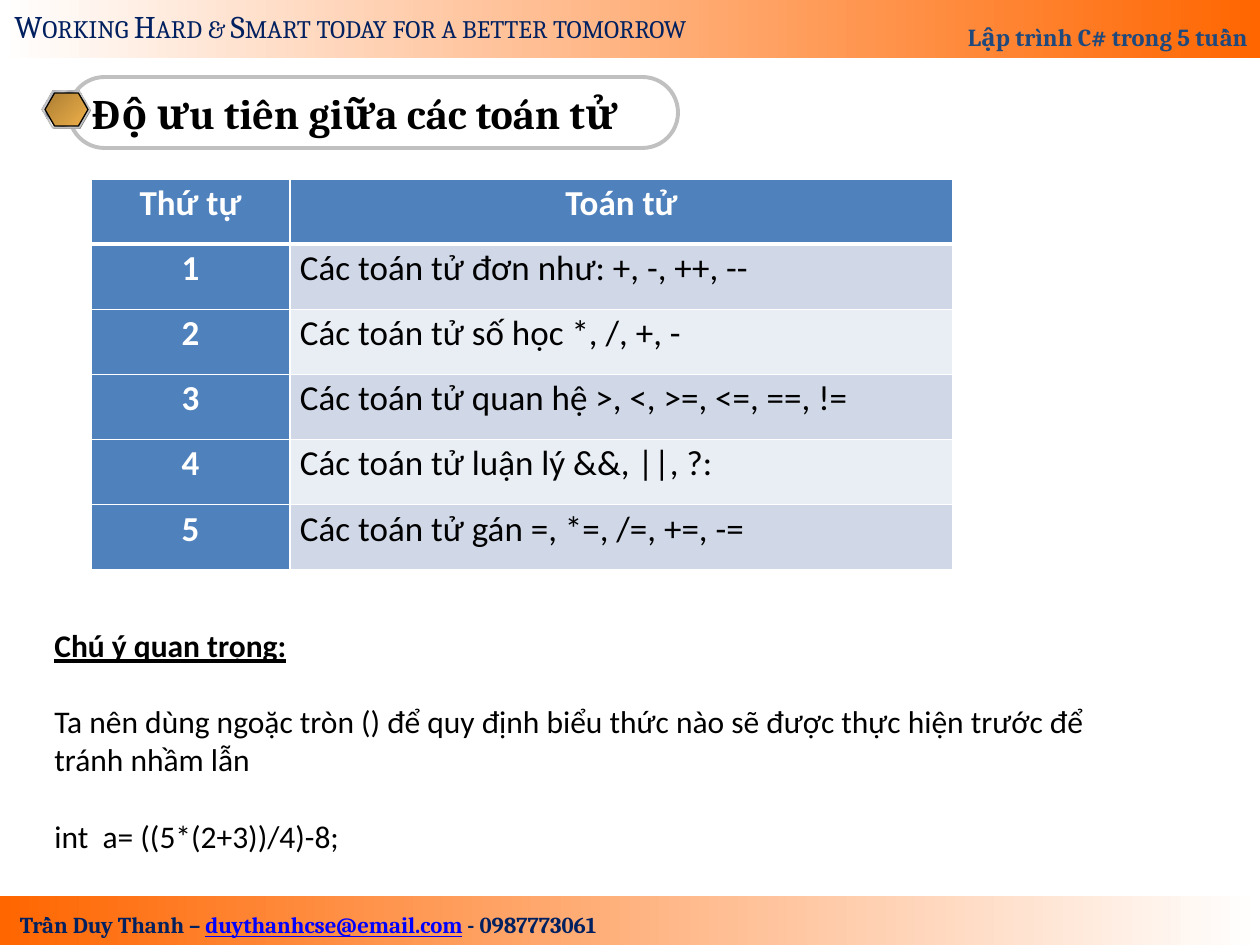
from lxml.etree import SubElement
from pptx import Presentation
from pptx.dml.color import RGBColor
from pptx.enum.shapes import MSO_SHAPE
from pptx.enum.text import MSO_ANCHOR, PP_ALIGN
from pptx.oxml.ns import qn
from pptx.util import Emu, Pt

COLORS = {
    "white": "FFFFFF", "black": "000000", "orange": "FF6600", "navy": "002060",
    "blue": "1F497D", "link": "0000FF", "silver": "C0C0C0", "gray": "808080",
    "bronze": "AB7E34", "gold": "EFB049", "light": "E6E6E6", "steel": "7D8496",
    "head": "4F81BD", "band": "D0D8E8", "pale": "E9EDF4",
}
CHROME = [(0, "light"), (7, "steel"), (26, "light"), (34, "steel"), (46, "light"),
          (50, "white"), (54, "light"), (66, "steel"), (74, "light"),
          (93, "steel"), (100, "light")]
OPERATORS = [
    "Các toán tử đơn như: +, -, ++, --",
    "Các toán tử số học *, /, +, -",
    "Các toán tử quan hệ >, <, >=, <=, ==, !=",
    "Các toán tử luận lý &&, ||, ?:",
    "Các toán tử gán =, *=, /=, +=, -=",
]
NOTES = [
    "Chú ý quan trọng:",
    "Ta nên dùng ngoặc tròn () để quy định biểu thức nào sẽ được thực hiện trước để "
    "tránh nhầm lẫn",
    "int  a= ((5*(2+3))/4)-8;",
]


def px(length):
    return Emu(round(length * 914400 / 126))


def rgb(name):
    return RGBColor.from_string(COLORS[name])


def style(font, face, size, color, bold=False):
    font.name, font.size, font.bold = face, Pt(size), bold
    font.color.rgb = rgb(color)


def add_shape(slide, preset, box, line=None, weight=0.75):
    shape = slide.shapes.add_shape(preset, *map(px, box))
    shape.shadow.inherit = False
    if line:
        shape.line.color.rgb = rgb(line)
        shape.line.width = Pt(weight)
    else:
        shape.line.fill.background()
    return shape


def fill_gradient(shape, stops, angle=0):
    shape.fill.gradient()
    shape.fill.gradient_angle = angle
    stop_list = next(shape._element.spPr.iter(qn("a:gsLst")))
    for stop in list(stop_list):
        stop_list.remove(stop)
    for position, color in stops:
        stop = SubElement(stop_list, qn("a:gs"), pos=str(position * 1000))
        SubElement(stop, qn("a:srgbClr"), val=COLORS[color])


def add_text(slide, box, wrap):
    frame = slide.shapes.add_textbox(*map(px, box)).text_frame
    frame.word_wrap = wrap
    return frame


def add_header(slide, left, top, width, height):
    band = add_shape(slide, MSO_SHAPE.RECTANGLE, (left, top, width, height))
    fill_gradient(band, [(0, "white"), (100, "orange")])
    band.text_frame.vertical_anchor = MSO_ANCHOR.BOTTOM
    course = band.text_frame.paragraphs[0]
    course.text = "Lập trình C# trong 5 tuần"
    course.alignment = PP_ALIGN.RIGHT
    course.line_spacing = 1.8
    style(course.font, "Cambria", 14, "blue", True)

    motto = add_text(slide, (left + 2, top + 1, 744, 50), False).paragraphs[0]
    motto.text = "Working Hard & Smart today for a better tomorrow"
    style(motto.font, "Cambria", 18, "navy")
    motto.runs[0]._r.get_or_add_rPr().set("cap", "small")


def add_footer(slide, left, top, width, height):
    band = add_shape(slide, MSO_SHAPE.RECTANGLE, (left, top, width, height))
    fill_gradient(band, [(0, "orange"), (100, "white")])
    contact = add_text(slide, (left - 10, top + 9, 636, 40), False).paragraphs[0]
    contact.alignment = PP_ALIGN.CENTER
    for text, color in [("Trần Duy Thanh – ", "navy"),
                        ("duythanhcse@email.com", "link"),
                        (" - 0987773061", "navy")]:
        part = contact.add_run()
        part.text = text
        style(part.font, "Cambria", 13, color, True)
        part.font.underline = color == "link"


def add_title(slide, left, top, width, height):
    pill = add_shape(slide, MSO_SHAPE.ROUNDED_RECTANGLE,
                     (left + 27, top, width - 27, height), "silver", 2.25)
    pill.adjustments[0] = 0.5
    pill.fill.background()
    pill.text_frame.vertical_anchor = MSO_ANCHOR.MIDDLE
    heading = pill.text_frame.paragraphs[0]
    heading.text = "Độ ưu tiên giữa các toán tử"
    heading.alignment = PP_ALIGN.LEFT
    style(heading.font, "Cambria", 24, "black", True)

    shade, rim, core = [
        add_shape(slide, MSO_SHAPE.HEXAGON, (left + x, top + y, w, h), line)
        for x, y, w, h, line in [(1, 15, 48, 37, None), (0, 14, 48, 37, "silver"),
                                 (3, 16, 43, 33, "black")]]
    for hexagon in (shade, rim, core):
        hexagon.adjustments[0] = 0.29
    shade.fill.solid()
    shade.fill.fore_color.rgb = rgb("gray")
    fill_gradient(rim, CHROME, 315)
    fill_gradient(core, [(0, "bronze"), (100, "gold")], 315)


def style_cell(cell, text, fill, color, bold, alignment, top_line, bottom_line):
    properties = cell._tc.get_or_add_tcPr()
    for side, weight in [("L", 1), ("R", 1), ("T", top_line), ("B", bottom_line)]:
        border = SubElement(properties, qn(f"a:ln{side}"), w=str(Pt(weight)))
        paint = SubElement(border, qn("a:solidFill"))
        SubElement(paint, qn("a:srgbClr"), val=COLORS["white"])
    cell.fill.solid()
    cell.fill.fore_color.rgb = rgb(fill)
    cell.margin_left = cell.margin_right = px(10)
    cell.margin_top = cell.margin_bottom = 0
    label = cell.text_frame.paragraphs[0]
    label.text = text
    label.alignment = alignment
    label.line_spacing = 1.07
    style(label.font, "Calibri", 20, color, bold)


def add_precedence(slide, left, top, width, height):
    rows = [("Thứ tự", "Toán tử")]
    rows += [(str(rank), text) for rank, text in enumerate(OPERATORS, 1)]
    table = slide.shapes.add_table(
        len(rows), 2, *map(px, (left, top, width, height))).table
    table.horz_banding = False
    table.columns[0].width = px(199)
    table.columns[1].width = px(width - 199)
    for r, row in enumerate(rows):
        table.rows[r].height = px(height / len(rows))
        for c, text in enumerate(row):
            key = r == 0 or c == 0
            fill = "head" if key else "band" if r % 2 else "pale"
            style_cell(table.cell(r, c), text, fill, "white" if key else "black", key,
                       PP_ALIGN.CENTER if key else PP_ALIGN.JUSTIFY,
                       3 if r == 1 else 1, 3 if r == 0 else 1)


def add_notes(slide, left, top, width, height):
    frame = add_text(slide, (left, top, width, height), True)
    for index, text in enumerate(NOTES):
        note = frame.add_paragraph() if index else frame.paragraphs[0]
        note.text = text
        if index:
            note.space_before = Pt(22)
        style(note.font, "Calibri", 18, "black", index == 0)
        note.font.underline = index == 0


def main():
    deck = Presentation()
    deck.slide_width, deck.slide_height = px(1260), px(945)
    slide = deck.slides.add_slide(deck.slide_layouts[6])
    add_footer(slide, 0, 896, 1260, 49)
    add_header(slide, 0, 0, 1260, 58)
    add_title(slide, 42, 77, 636, 71)
    add_precedence(slide, 91, 179, 862, 391)
    add_notes(slide, 42, 620, 1124, 242)
    deck.save("out.pptx")


if __name__ == "__main__":
    main()
